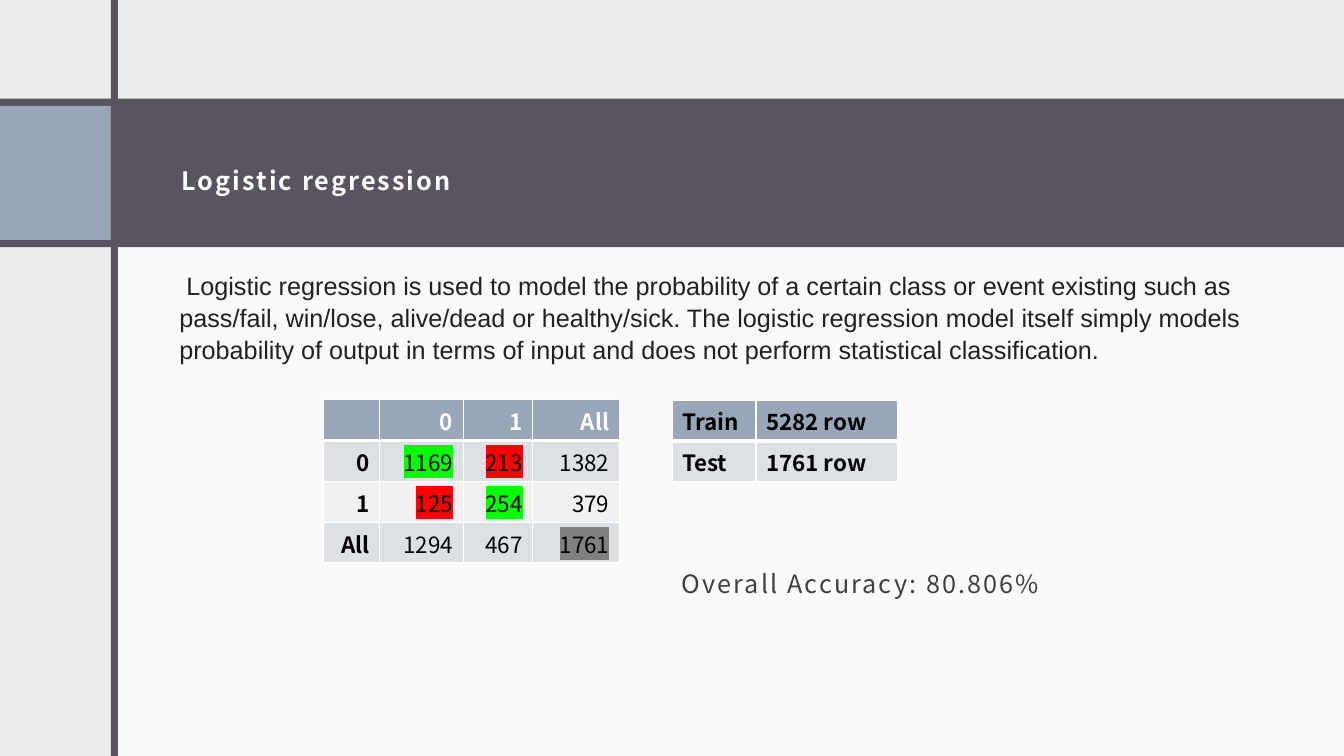
import dataclasses

import lxml.etree
import pptx
import pptx.dml.color
import pptx.enum.shapes
import pptx.enum.text
import pptx.oxml.ns
import pptx.util

Pt = pptx.util.Pt
RGB = pptx.dml.color.RGBColor.from_string
ALIGN = pptx.enum.text.PP_ALIGN
ANCHOR = pptx.enum.text.MSO_ANCHOR
qn = pptx.oxml.ns.qn


@dataclasses.dataclass(frozen=True)
class Theme:
    """Colours, fonts and type sizes of the slide."""
    paper: str = "EBEDEB"
    white: str = "FFFFFF"
    black: str = "000000"
    plum: str = "595460"
    steel: str = "97A7B8"
    bands: tuple = ("DDE1E6", "EFF1F3")
    body_ink: str = "202122"
    note_ink: str = "404040"
    correct: str = "00FF00"
    wrong: str = "FF0000"
    total: str = "808080"
    sans: str = "Noto Sans CJK JP"
    body_font: str = "Arial"
    text_size: float = 18
    cell_size: float = 16
    tracking: float = 1.5


def apply(target, values):
    """Set every attribute in a dict of format values."""
    for name, value in values.items():
        setattr(target, name, value)


def add_color(parent, color):
    """Append an RGB colour element and return it."""
    return lxml.etree.SubElement(parent, qn("a:srgbClr"), val=color)


class Page:
    """Holds the theme and the current slide."""

    def __init__(self, slide, theme):
        """Start a page with the paper background."""
        self.slide, self.theme = slide, theme
        fill = slide.background.fill
        fill.solid()
        fill.fore_color.rgb = RGB(theme.paper)

    def block(self, left, top, width, height, color, opacity=None):
        """Add a plain rectangle, see-through if opacity is given."""
        shape = self.slide.shapes.add_shape(
            pptx.enum.shapes.MSO_SHAPE.RECTANGLE, Pt(left), Pt(top), Pt(width), Pt(height))
        shape.shadow.inherit = False
        shape.fill.solid()
        shape.fill.fore_color.rgb = RGB(color)
        shape.line.fill.background()
        if opacity is not None:
            tint = shape.element.spPr.find(".//" + qn("a:srgbClr"))
            lxml.etree.SubElement(tint, qn("a:alpha"), val=str(opacity * 1000))

    def span(self, para, text, color, size, font=None, bold=False, tracking=0, highlight=None):
        """Add one formatted span to a paragraph."""
        span = para.add_run()
        span.text = text
        apply(span.font, {"name": font or self.theme.sans, "size": Pt(size), "bold": bold})
        span.font.color.rgb = RGB(color)
        properties = span._r.get_or_add_rPr()
        if tracking:
            properties.set("spc", str(round(tracking * 100)))
        if highlight:
            mark = lxml.etree.Element(qn("a:highlight"))
            add_color(mark, highlight)
            properties.find(qn("a:solidFill")).addnext(mark)

    def text(self, left, top, width, height, words, color, frame=None, spacing=1.0, **style):
        """Add a wrapping text box with one paragraph."""
        box = self.slide.shapes.add_textbox(Pt(left), Pt(top), Pt(width), Pt(height))
        apply(box.text_frame, {"word_wrap": True, **(frame or {})})
        para = box.text_frame.paragraphs[0]
        para.line_spacing = spacing
        self.span(para, words, color, self.theme.text_size, **style)

    def borders(self, cell, bottom):
        """Draw white cell borders with the given bottom width."""
        properties = cell._tc.get_or_add_tcPr()
        sides = {"a:lnL": 1, "a:lnR": 1, "a:lnT": 1, "a:lnB": bottom}
        for index, (side, width) in enumerate(sides.items()):
            line = lxml.etree.Element(qn(side), w=str(int(Pt(width))))
            add_color(lxml.etree.SubElement(line, qn("a:solidFill")), self.theme.white)
            properties.insert(index, line)

    def table(self, left, top, widths, row_height, rows, style, frame):
        """Add a banded table; style(row, column) gives the span format."""
        grid = self.slide.shapes.add_table(
            len(rows), len(widths), Pt(left), Pt(top),
            Pt(sum(widths)), Pt(row_height * len(rows))).table
        for column, width in zip(grid.columns, widths):
            column.width = Pt(width)
        for r, row in enumerate(rows):
            grid.rows[r].height = Pt(row_height)
            for c, words in enumerate(row):
                cell = grid.cell(r, c)
                apply(cell, frame)
                cell.fill.solid()
                band = self.theme.bands[(r - 1) % 2] if r else self.theme.steel
                cell.fill.fore_color.rgb = RGB(band)
                self.borders(cell, 1 if r else 3)
                if words:
                    look = style(r, c)
                    para = cell.text_frame.paragraphs[0]
                    para.alignment = look.pop("align")
                    self.span(para, words, size=self.theme.cell_size, **look)


def main():
    """Build the logistic regression slide."""
    theme = Theme()
    deck = pptx.Presentation()
    apply(deck, {"slide_width": Pt(960), "slide_height": Pt(540)})
    page = Page(deck.slides.add_slide(deck.slide_layouts[6]), theme)

    page.block(0, 0, 960, 540, theme.paper)
    page.block(82, 168, 878, 372, theme.white, opacity=75)
    page.block(0, 70.5, 960, 106, theme.plum)
    page.text(121, 82, 788, 81.5, "Logistic regression", theme.white,
              frame={"vertical_anchor": ANCHOR.MIDDLE, "margin_left": Pt(8.64),
                     "margin_right": Pt(8.64), "margin_top": Pt(8.64), "margin_bottom": Pt(7.2)},
              spacing=1.5, bold=True, tracking=theme.tracking)
    page.block(0, 75.6, 79.3, 95.8, theme.steel)
    page.block(79.3, 0, 5, 540, theme.plum)

    marks = {(1, 1): theme.correct, (2, 2): theme.correct,
             (1, 2): theme.wrong, (2, 1): theme.wrong, (3, 3): theme.total}

    def matrix_style(row, column):
        """Format the confusion matrix: bold headings, marked counts."""
        return {"align": ALIGN.RIGHT, "bold": row == 0 or column == 0,
                "color": theme.black if row else theme.white,
                "highlight": marks.get((row, column))}

    def split_style(row, column):
        """Format the train and test sizes."""
        return {"align": ALIGN.LEFT, "bold": True, "color": theme.black}

    page.table(230.8, 285.4, [40.3, 59.8, 49.7, 61.9], 29.2,
               [["", "0", "1", "All"],
                ["0", "1169", "213", "1382"],
                ["1", "125", "254", "379"],
                ["All", "1294", "467", "1761"]],
               matrix_style, {"vertical_anchor": ANCHOR.MIDDLE})
    page.text(480, 402.5, 480, 29, "Overall Accuracy: 80.806%", theme.note_ink,
              tracking=theme.tracking)
    page.table(480.2, 285.8, [59.8, 101.5], 29.2,
               [["Train", "5282 row"], ["Test", "1761 row"]],
               split_style, {"margin_top": Pt(3), "margin_bottom": Pt(3)})
    page.text(121, 188.6, 827, 72.7,
              "\u00a0Logistic regression is used to model the probability of a certain class or "
              "event existing such as pass/fail, win/lose, alive/dead or healthy/sick. The "
              "logistic regression model itself simply models probability of output in terms "
              "of input and does not perform statistical classification.",
              theme.body_ink, spacing=1.05, font=theme.body_font)
    deck.save("out.pptx")


main()
